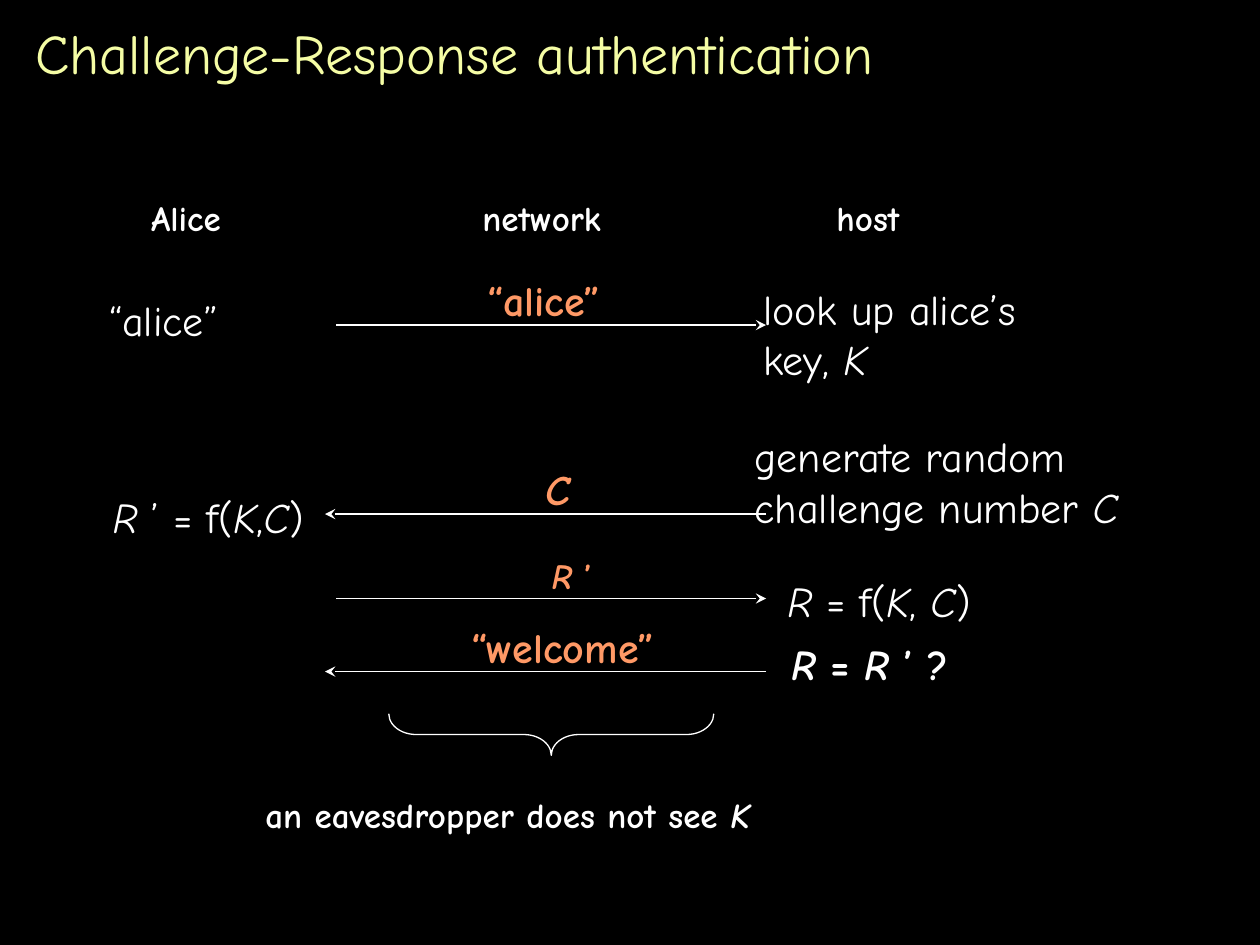
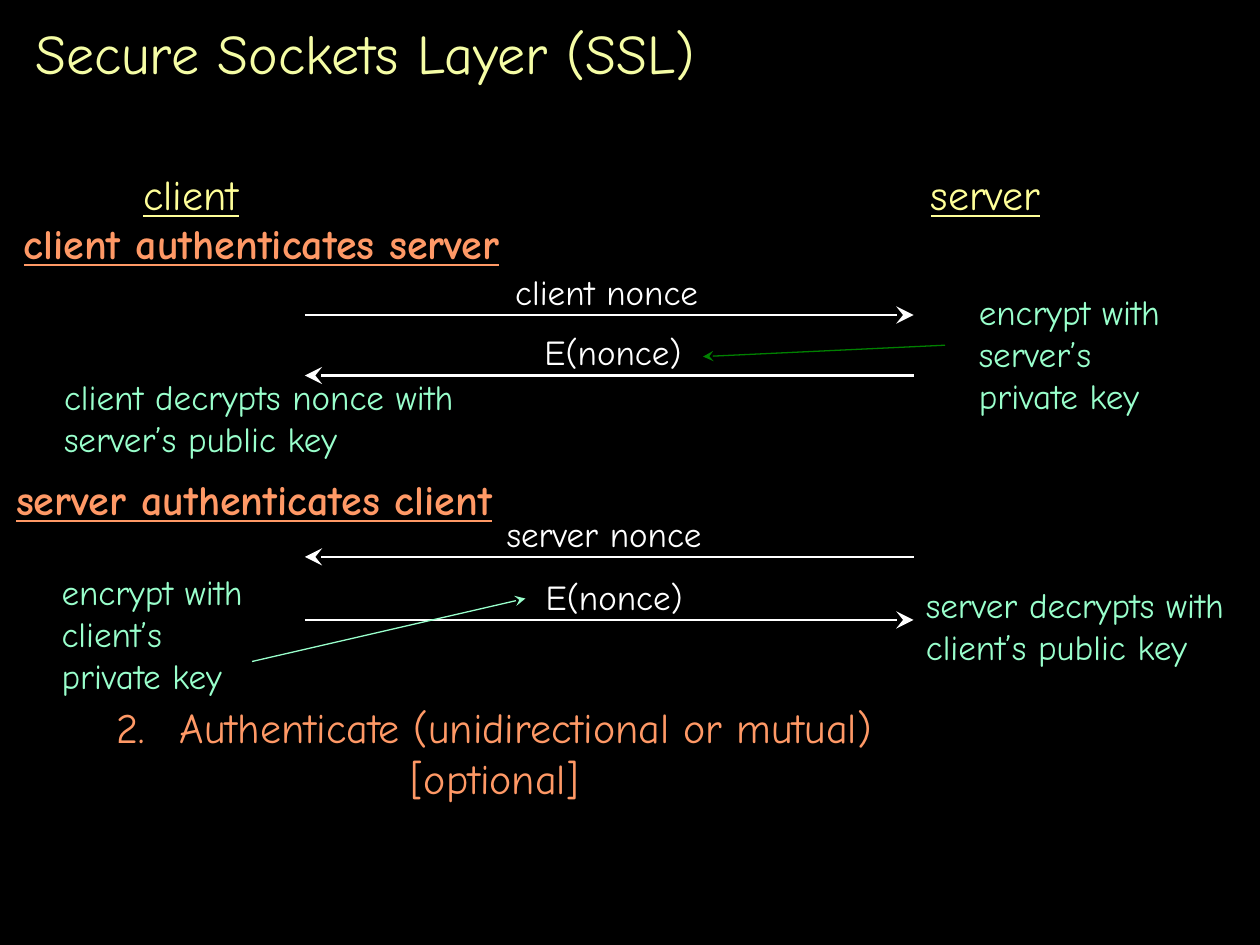
"""Builds two slides on authentication exchanges."""
import dataclasses

import lxml.etree
import pptx
import pptx.dml.color
import pptx.enum.shapes
import pptx.enum.text
import pptx.oxml.ns
import pptx.util

Inches = pptx.util.Inches
Pt = pptx.util.Pt
RGBColor = pptx.dml.color.RGBColor
Align = pptx.enum.text.PP_ALIGN
qn = pptx.oxml.ns.qn

FONT = "Comic Neue"
BLACK = RGBColor(0x00, 0x00, 0x00)
WHITE = RGBColor(0xFF, 0xFF, 0xFF)
TITLE_YELLOW = RGBColor(0xF5, 0xFD, 0xA5)
YELLOW = RGBColor(0xFF, 0xFF, 0x99)
ORANGE = RGBColor(0xFF, 0x99, 0x66)
MINT = RGBColor(0x99, 0xFF, 0xCC)
GREEN = RGBColor(0x00, 0x80, 0x00)


@dataclasses.dataclass
class Style:
    size: int
    color: RGBColor
    bold: bool = False
    underline: bool = False
    align: Align = Align.LEFT
    extra_lines: int = 0


TITLE = Style(32, TITLE_YELLOW)
STEP = Style(24, WHITE)
STEP_RIGHT = Style(24, WHITE, align=Align.RIGHT)
CHECK = Style(24, WHITE, bold=True)
PARTY = Style(20, WHITE, bold=True)
REMARK = Style(20, WHITE, bold=True, align=Align.CENTER)
MESSAGE = Style(24, ORANGE, bold=True)
SMALL_MESSAGE = Style(20, ORANGE, bold=True)
ROLE = Style(24, YELLOW, underline=True)
PHASE = Style(24, ORANGE, bold=True, underline=True)
NONCE = Style(20, WHITE, align=Align.CENTER)
ACTION = Style(20, MINT)
WRAPPED_ACTION = Style(20, MINT, extra_lines=1)
SUMMARY = Style(24, ORANGE)

# Text: asterisks enclose italics, \n starts a paragraph, \v breaks a line.
CHALLENGE_TITLE = "Challenge-Response authentication"
CHALLENGE_TEXTS = [
    (1.1, 1.51, 0.75, PARTY, "Alice"),
    (3.73, 1.51, 1.14, PARTY, "network"),
    (6.54, 1.51, 0.7, PARTY, "host"),
    (0.77, 2.29, 1.06, STEP, "“alice”"),
    (3.77, 2.13, 1.09, MESSAGE, "“alice”"),
    (5.96, 2.2, 2.2, STEP, "look up alice’s\vkey, *K*"),
    (5.89, 3.37, 3.09, STEP, "generate random\nchallenge number *C*"),
    (4.23, 3.63, 0.39, MESSAGE, "*C*"),
    (0.8, 3.85, 1.71, STEP_RIGHT, "*R *’ = f(*K*,*C*)"),
    (4.28, 4.35, 0.52, SMALL_MESSAGE, "*R *’"),
    (6.15, 4.52, 1.65, STEP, "*R *= f(*K*, *C*)"),
    (3.64, 4.88, 1.65, MESSAGE, "“welcome”"),
    (6.18, 5.02, 1.45, CHECK, "*R *= *R *’ ?"),
    (2, 6.25, 4.06, REMARK, "an eavesdropper does not see *K*"),
]
TO_HOST, TO_ALICE = (2.67, 6.08), (6.08, 2.58)
CHALLENGE_MESSAGES = [(2.58, TO_HOST), (4.08, TO_ALICE), (4.75, TO_HOST), (5.33, TO_ALICE)]
BRACE = (4.21, 4.54, 0.33, 2.58)

SSL_TITLE = "Secure Sockets Layer (SSL)"
SSL_TEXTS = [
    (1.04, 1.29, 0.95, ROLE, "client"),
    (7.29, 1.29, 1.07, ROLE, "server"),
    (0.09, 1.68, 3.99, PHASE, "client authenticates server"),
    (3.99, 2.1, 1.65, NONCE, "client nonce"),
    (4.22, 2.57, 1.29, NONCE, "E(nonce)"),
    (7.67, 2.26, 1.64, ACTION, "encrypt with\vserver’s\nprivate key"),
    (0.41, 2.93, 3.29, ACTION, "client decrypts nonce with\vserver’s public key"),
    (0.03, 3.71, 3.99, PHASE, "server authenticates client"),
    (3.92, 4.02, 1.75, NONCE, "server nonce"),
    (4.23, 4.52, 1.29, NONCE, "E(nonce)"),
    (0.39, 4.48, 1.64, ACTION, "encrypt with\vclient’s\nprivate key"),
    (7.25, 4.58, 2.92, WRAPPED_ACTION, "server decrypts with client’s public key"),
]
TO_SERVER, TO_CLIENT = (2.42, 7.25), (7.25, 2.42)
SSL_MESSAGES = [(2.5, TO_SERVER), (2.98, TO_CLIENT), (4.42, TO_CLIENT), (4.92, TO_SERVER)]
SSL_POINTERS = [((7.5, 2.74), (5.58, 2.83), GREEN), ((2, 5.25), (4.17, 4.75), MINT)]
SSL_SUMMARY = (0.83, 5.52, 8.5, SUMMARY, "Authenticate (unidirectional or mutual)\n[optional]")
SUMMARY_NUMBER = 2
SUMMARY_INDENTS = [(0.5, -0.5), (2.33, 0)]

THIN, THICK = (0.75, "med"), (1.5, "lg")


def format_paragraph(para, style):
    para.alignment = style.align
    font = para.font
    font.name, font.size = FONT, Pt(style.size)
    font.bold, font.underline = style.bold, style.underline
    font.color.rgb = style.color


def fill_paragraph(para, text):
    for index, part in enumerate(text.split("*")):
        for number, line in enumerate(part.split("\v")):
            if number:
                para.add_line_break()
            if line:
                span = para.add_run()
                span.text = line
                if index % 2:
                    span.font.italic = True


def add_text(page, left, top, width, style, text):
    line_count = 1 + text.count("\n") + text.count("\v") + style.extra_lines
    height = round(0.1 + line_count * style.size / 60, 2)
    box = page.shapes.add_textbox(Inches(left), Inches(top), Inches(width), Inches(height))
    frame = box.text_frame
    frame.word_wrap = True
    frame.auto_size = pptx.enum.text.MSO_AUTO_SIZE.SHAPE_TO_FIT_TEXT
    frame.margin_left = Inches(0.1 if style.align == Align.LEFT else 0.05)
    frame.margin_right = Inches(0.1 if style.align == Align.RIGHT else 0.05)
    for index, line in enumerate(text.split("\n")):
        para = frame.add_paragraph() if index else frame.paragraphs[0]
        fill_paragraph(para, line)
        format_paragraph(para, style)
    return box


def add_summary(page):
    box = add_text(page, *SSL_SUMMARY)
    for para, (margin, indent) in zip(box.text_frame.paragraphs, SUMMARY_INDENTS):
        props = para._p.get_or_add_pPr()
        props.set("marL", str(Inches(margin)))
        props.set("indent", str(Inches(indent)))
    props = box.text_frame.paragraphs[0]._p.pPr
    bullet_color = lxml.etree.Element(qn("a:buClr"))
    lxml.etree.SubElement(bullet_color, qn("a:srgbClr"), val=str(ORANGE))
    numbering = lxml.etree.Element(
        qn("a:buAutoNum"), type="arabicPeriod", startAt=str(SUMMARY_NUMBER))
    props.insert(0, bullet_color)
    props.insert(1, numbering)


def add_arrow(page, start, end, color, weight):
    width, head = weight
    points = [Inches(value) for value in (*start, *end)]
    arrow = page.shapes.add_connector(pptx.enum.shapes.MSO_CONNECTOR.STRAIGHT, *points)
    arrow.line.color.rgb = color
    arrow.line.width = Pt(width)
    lxml.etree.SubElement(
        arrow.line._get_or_add_ln(), qn("a:tailEnd"), type="stealth", w=head, len=head)
    lxml.etree.SubElement(arrow._element.spPr, qn("a:effectLst"))


def add_brace(page):
    brace = page.shapes.add_shape(
        pptx.enum.shapes.MSO_SHAPE.RIGHT_BRACE, *map(Inches, BRACE))
    brace.rotation = 90
    brace.adjustments[0] = 0.66
    brace.shadow.inherit = False
    brace.fill.background()
    brace.line.color.rgb = WHITE
    brace.line.width = Pt(0.75)


def add_page(deck, title, texts, messages, weight):
    page = deck.slides.add_slide(deck.slide_layouts.get_by_name("Title Only"))
    heading = page.shapes.title
    heading.left, heading.top = Inches(0.18), Inches(0.08)
    heading.width, heading.height = Inches(9.67), Inches(0.67)
    heading.text_frame.text = title
    heading.text_frame.vertical_anchor = pptx.enum.text.MSO_ANCHOR.MIDDLE
    format_paragraph(heading.text_frame.paragraphs[0], TITLE)
    for y, (x_from, x_to) in messages:
        add_arrow(page, (x_from, y), (x_to, y), WHITE, weight)
    for text in texts:
        add_text(page, *text)
    return page


def main():
    deck = pptx.Presentation()
    deck.slide_width, deck.slide_height = Inches(10), Inches(7.5)
    background = deck.slide_master.background.fill
    background.solid()
    background.fore_color.rgb = BLACK

    page = add_page(deck, CHALLENGE_TITLE, CHALLENGE_TEXTS, CHALLENGE_MESSAGES, THIN)
    add_brace(page)

    page = add_page(deck, SSL_TITLE, SSL_TEXTS, SSL_MESSAGES, THICK)
    for start, end, color in SSL_POINTERS:
        add_arrow(page, start, end, color, THIN)
    add_summary(page)

    deck.save("out.pptx")


if __name__ == "__main__":
    main()
